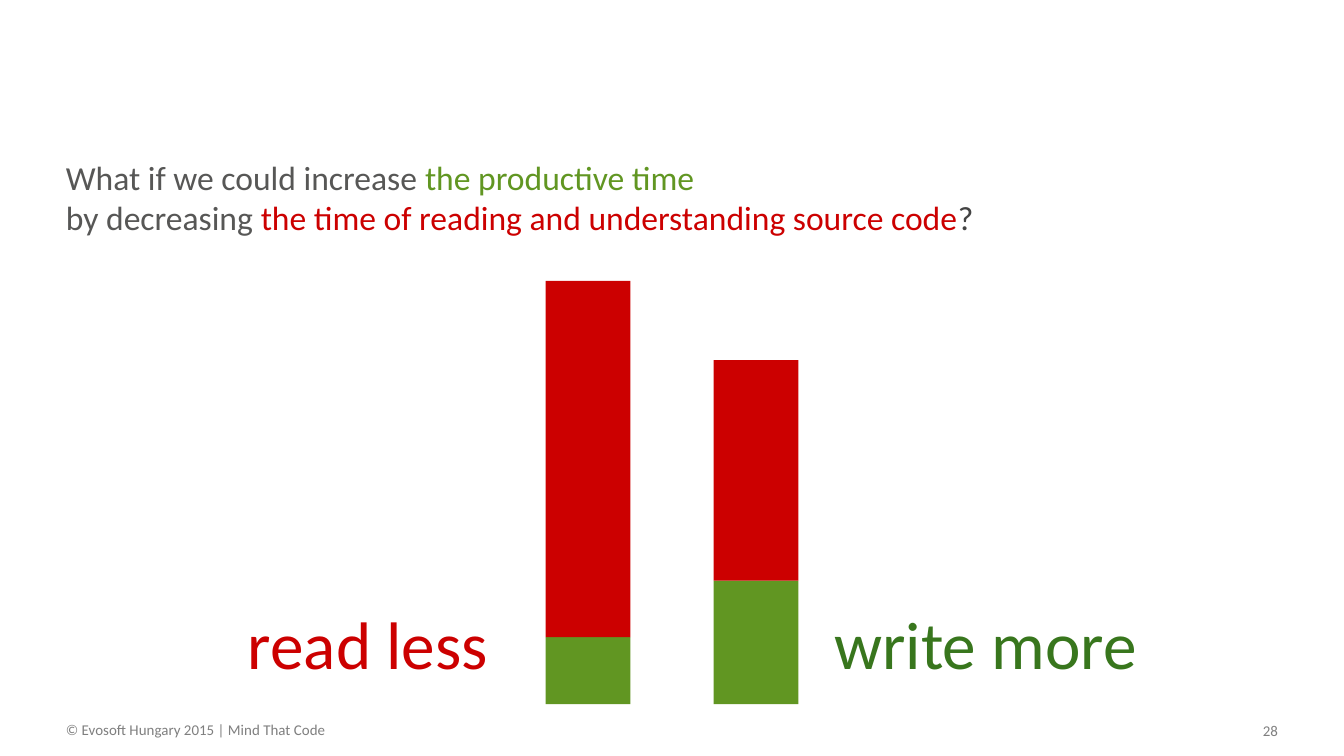
from pptx import Presentation
from pptx.dml.color import RGBColor
from pptx.enum.shapes import MSO_SHAPE
from pptx.enum.text import MSO_ANCHOR, PP_ALIGN
from pptx.util import Pt

RECT = MSO_SHAPE.RECTANGLE
TOP, MIDDLE = MSO_ANCHOR.TOP, MSO_ANCHOR.MIDDLE
LEFT, RIGHT = PP_ALIGN.LEFT, PP_ALIGN.RIGHT

FONT = "Calibri"
GREEN = RGBColor(0x61, 0x96, 0x22)
DARK_GREEN = RGBColor(0x38, 0x76, 0x1D)
RED = RGBColor(0xCC, 0x00, 0x00)
BODY_GRAY = RGBColor(0x57, 0x57, 0x56)
DARK_GRAY = RGBColor(0x43, 0x43, 0x43)
FOOTER_GRAY = RGBColor(0x7F, 0x7F, 0x7F)

MARGIN = 35.3
BASELINE = 377.3
BAR_WIDTH = 45.4
FOOTER_INSETS = (0, 3.6, 7.2, 3.6)
NUMBER_INSETS = (7.2, 3.6, 0, 3.6)
LABEL_INSETS = (7.2, 7.2, 7.2, 7.2)


def add_text(s, box, lines, size, insets, align=LEFT, anchor=TOP):
    """Add a text box whose lines are lists of (text, colour) runs."""
    tf = s.shapes.add_textbox(*map(Pt, box)).text_frame
    tf.word_wrap = True
    tf.vertical_anchor = anchor
    tf.margin_left, tf.margin_top, tf.margin_right, tf.margin_bottom = map(Pt, insets)
    for i, line in enumerate(lines):
        p = tf.add_paragraph() if i else tf.paragraphs[0]
        p.alignment = align
        for text, color in line:
            r = p.add_run()
            r.text = text
            r.font.name = FONT
            r.font.size = Pt(size)
            r.font.color.rgb = color


def add_stacked_bar(s, left, write_height, read_height):
    """Stack the red reading time on the green writing time."""
    bottom = BASELINE
    for height, color in ((write_height, GREEN), (read_height, RED)):
        bottom -= height
        sp = s.shapes.add_shape(RECT, Pt(left), Pt(bottom), Pt(BAR_WIDTH), Pt(height))
        sp.shadow.inherit = False
        sp.fill.solid()
        sp.fill.fore_color.rgb = color
        sp.line.fill.background()


def main():
    """Build the slide and save it."""
    prs = Presentation()
    prs.slide_width, prs.slide_height = Pt(720), Pt(405)
    s = prs.slides.add_slide(prs.slide_layouts[6])

    add_text(s, (MARGIN, 377.3, 263.5, 27.4),
             [[("© Evosoft Hungary 2015 | Mind That Code", FOOTER_GRAY)]],
             8, FOOTER_INSETS, anchor=MIDDLE)
    add_text(s, (643.7, 378, 41, 26.6), [[("28", FOOTER_GRAY)]],
             8, NUMBER_INSETS, align=RIGHT, anchor=MIDDLE)
    question = [
        [("What if we could increase ", BODY_GRAY), ("the productive time", GREEN)],
        [("by decreasing ", BODY_GRAY),
         ("the time of reading and understanding source code", RED),
         ("?", DARK_GRAY)],
    ]
    add_text(s, (MARGIN, 80.6, 649.4, 295.9), question, 18, FOOTER_INSETS)

    add_stacked_bar(s, 292.3, 36, 190.8)
    add_stacked_bar(s, 382.3, 66.2, 118.1)

    add_text(s, (109.4, 315.4, 159.1, 61.9), [[("read less", RED)]],
             36, LABEL_INSETS, align=RIGHT)
    add_text(s, (439.9, 315.4, 190.1, 61.9), [[("write more", DARK_GREEN)]],
             36, LABEL_INSETS)
    prs.save("out.pptx")


if __name__ == "__main__":
    main()
